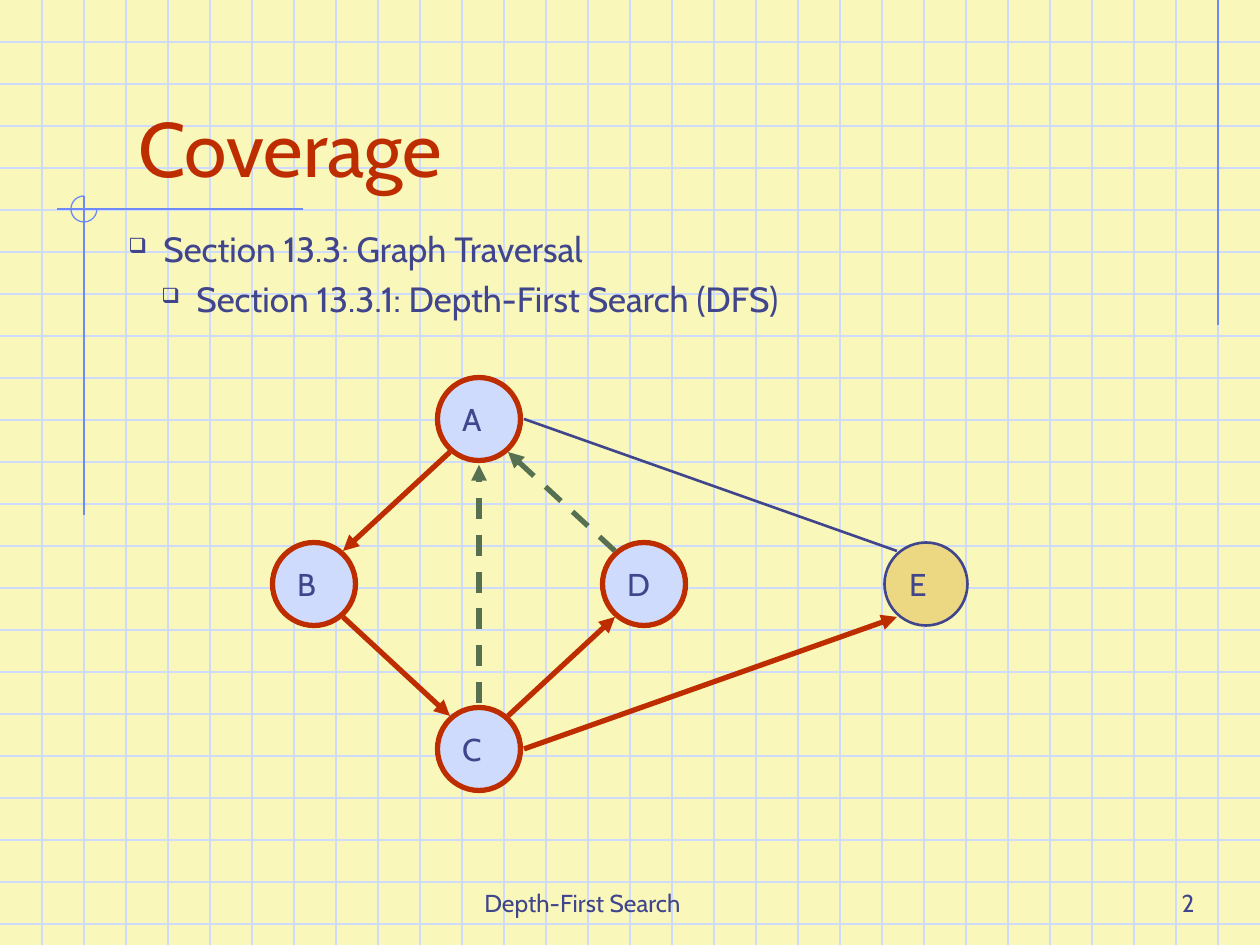
import collections
import dataclasses

import lxml.etree
import pptx
import pptx.dml.color
import pptx.enum.dml
import pptx.enum.shapes
import pptx.enum.text
import pptx.oxml.ns
import pptx.util

PX = 914400 / 126
Box = collections.namedtuple("Box", "left top width height")
Align = pptx.enum.text.PP_ALIGN
Anchor = pptx.enum.text.MSO_ANCHOR
Shape = pptx.enum.shapes.MSO_SHAPE
qn = pptx.oxml.ns.qn


@dataclasses.dataclass(frozen=True)
class Theme:
    font: str = "Cabin"
    paper: str = "F9F8BA"
    grid: str = "CFDBFD"
    ornament: str = "6F89F7"
    ink: str = "40458C"
    accent: str = "BE2D00"
    back_edge: str = "577052"
    visited: str = "CFDBFD"
    unexplored: str = "ECD882"
    title_size: int = 44
    body_size: int = 20
    node_size: int = 18
    footer_size: int = 14
    hairline: float = 0.75
    thin: float = 1.5
    thick: float = 3


THEME = Theme()


def emu(*lengths):
    return [pptx.util.Emu(round(length * PX)) for length in lengths]


def rgb(color):
    return pptx.dml.color.RGBColor.from_string(color)


def stroke(item, color, width):
    item.line.color.rgb = rgb(color)
    item.line.width = pptx.util.Pt(width)


def add_line(slide, start, end, color, width):
    line = slide.shapes.add_connector(
        pptx.enum.shapes.MSO_CONNECTOR.STRAIGHT, *emu(*start, *end))
    stroke(line, color, width)
    lxml.etree.SubElement(line.element.spPr, qn("a:effectLst"))
    return line


def format_text(holder, size, color, align=Align.LEFT, anchor=Anchor.BOTTOM):
    frame = holder.text_frame
    frame.word_wrap = True
    frame.auto_size = pptx.enum.text.MSO_AUTO_SIZE.NONE
    frame.vertical_anchor = anchor
    for paragraph in frame.paragraphs:
        paragraph.alignment = align
        paragraph.font.name = THEME.font
        paragraph.font.size = pptx.util.Pt(size)
        paragraph.font.color.rgb = rgb(color)


def add_bullet(paragraph, margin, hang):
    properties = paragraph._p.get_or_add_pPr()
    left, indent = emu(margin, -hang)
    properties.set("marL", str(left))
    properties.set("indent", str(indent))
    bullet_color = lxml.etree.SubElement(properties, qn("a:buClr"))
    lxml.etree.SubElement(bullet_color, qn("a:srgbClr"), val=THEME.ink)
    lxml.etree.SubElement(properties, qn("a:buSzPct"), val="60000")
    lxml.etree.SubElement(properties, qn("a:buChar"), char="❑")


def draw_grid(slide, box, step):
    right, bottom = box.left + box.width, box.top + box.height
    for y in range(box.top + step, bottom, step):
        add_line(slide, (box.left, y), (right, y), THEME.grid, THEME.hairline)
    for x in range(box.left + step, right, step):
        add_line(slide, (x, box.top), (x, bottom), THEME.grid, THEME.hairline)


def draw_ornament(slide, box):
    radius = 13
    axis_x, axis_y = box.left + 27, box.top + 209
    right = box.left + box.width
    for start, end in (
        ((right, box.top), (right, box.top + 325)),
        ((box.left, axis_y), (box.left + 246, axis_y)),
        ((axis_x, axis_y - radius), (axis_x, box.top + box.height)),
    ):
        add_line(slide, start, end, THEME.ornament, THEME.hairline)
    arc = slide.shapes.add_shape(
        Shape.ARC, *emu(axis_x - radius, axis_y - radius, 2 * radius, 2 * radius))
    arc.adjustments[0] = 0
    arc.adjustments[1] = 162
    arc.shadow.inherit = False
    arc.fill.background()
    stroke(arc, THEME.ornament, THEME.hairline)


def place_title(slide, box, text):
    title = slide.shapes.title
    title.left, title.top, title.width, title.height = emu(*box)
    title.text_frame.text = text
    format_text(title, THEME.title_size, THEME.accent)
    slide.shapes.element.append(title.element)


def place_sections(slide, box, sections):
    hang, level_step = 35, 33
    holder = slide.shapes.add_textbox(*emu(*box))
    holder.text_frame.text = "\n".join(sections)
    for level, paragraph in enumerate(holder.text_frame.paragraphs):
        paragraph.level = level
        if level:
            paragraph.space_before = pptx.util.Pt(5)
        add_bullet(paragraph, hang + level * level_step, hang)
    format_text(holder, THEME.body_size, THEME.ink, anchor=Anchor.TOP)


def place_footer(slide, box, text):
    holder = slide.shapes.add_textbox(*emu(*box))
    holder.text_frame.text = text
    format_text(holder, THEME.footer_size, THEME.ink, Align.RIGHT)


def draw_graph(slide, box):
    diameter, step = 83, 165
    radius = diameter / 2
    middle_x, middle_y = box.left + 207, box.top + 206
    centers = {
        "A": (middle_x, middle_y - step),
        "B": (middle_x - step, middle_y),
        "C": (middle_x, middle_y + step),
        "D": (middle_x + step, middle_y),
        "E": (box.left + box.width - 42, middle_y),
    }
    for name, (x, y) in centers.items():
        node = slide.shapes.add_shape(
            Shape.OVAL, *emu(x - radius, y - radius, diameter, diameter))
        node.shadow.inherit = False
        node.fill.solid()
        if name == "E":
            node.fill.fore_color.rgb = rgb(THEME.unexplored)
            stroke(node, THEME.ink, THEME.thin)
        else:
            node.fill.fore_color.rgb = rgb(THEME.visited)
            stroke(node, THEME.accent, THEME.thick)
        node.text_frame.text = name
        format_text(node, THEME.node_size, THEME.ink, anchor=Anchor.MIDDLE)

    ports = {"nw": (-29, -33), "ne": (29, -33), "sw": (-29, 33), "se": (29, 33),
             "n": (0, -46), "s": (0, 46), "e": (45, 0)}
    styles = {"discovery": (THEME.accent, THEME.thick),
              "back": (THEME.back_edge, THEME.thick),
              "unexplored": (THEME.ink, THEME.thin)}

    def port(name, side):
        return tuple(c + d for c, d in zip(centers[name], ports[side]))

    for origin, origin_side, target, target_side, kind in (
        ("A", "sw", "B", "ne", "discovery"),
        ("B", "se", "C", "nw", "discovery"),
        ("C", "ne", "D", "sw", "discovery"),
        ("D", "nw", "A", "se", "back"),
        ("C", "n", "A", "s", "back"),
        ("C", "e", "E", "sw", "discovery"),
        ("A", "e", "E", "nw", "unexplored"),
    ):
        edge = add_line(slide, port(origin, origin_side), port(target, target_side),
                        *styles[kind])
        if kind == "back":
            edge.line.dash_style = pptx.enum.dml.MSO_LINE.DASH
        if kind != "unexplored":
            outline = edge.element.spPr.find(qn("a:ln"))
            lxml.etree.SubElement(outline, qn("a:tailEnd"), type="triangle")


def main():
    deck = pptx.Presentation()
    deck.slide_width, deck.slide_height = emu(1260, 945)
    slide = deck.slides.add_slide(deck.slide_layouts[5])
    slide.background.fill.solid()
    slide.background.fill.fore_color.rgb = rgb(THEME.paper)
    draw_grid(slide, Box(0, 0, 1260, 945), 42)
    draw_ornament(slide, Box(57, 0, 1161, 515))
    place_title(slide, Box(126, 42, 1071, 157), "Coverage")
    place_sections(slide, Box(116, 221, 892, 105), (
        "Section 13.3: Graph Traversal",
        "Section 13.3.1: Depth-First Search (DFS)",
    ))
    place_footer(slide, Box(294, 861, 399, 63), "Depth-First Search")
    place_footer(slide, Box(945, 861, 262, 63), "2")
    draw_graph(slide, Box(272, 378, 696, 413))
    deck.save("out.pptx")


if __name__ == "__main__":
    main()
